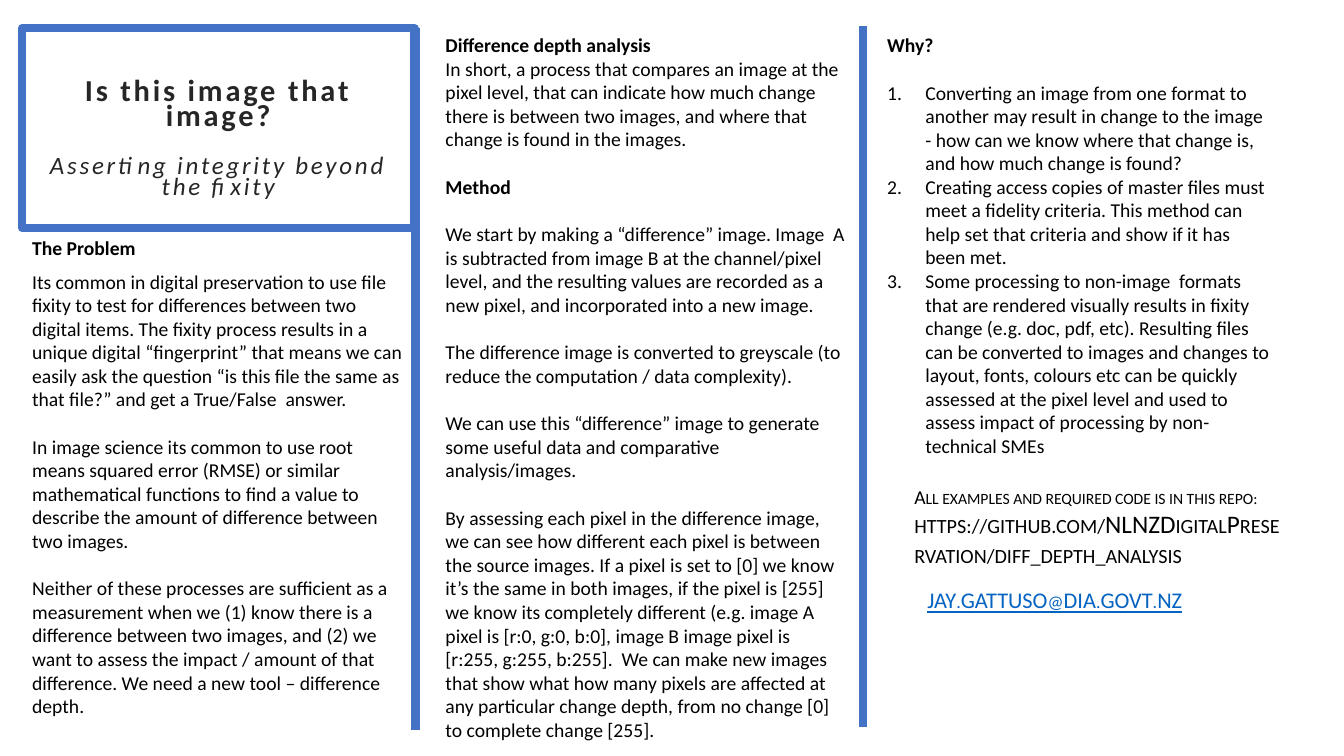
import pptx
import pptx.util
import pptx.dml.color
import pptx.enum.shapes
import pptx.enum.text
import lxml.etree
from pptx.util import Inches, Pt

THEME = {
    "font": "Calibri", "text": "000000", "title": "262626", "accent": "4472C4",
    "link": "0563C1", "paper": "FFFFFF", "body_size": 14, "title_size": 21.7,
    "subtitle_size": 17.8, "repo_size": 18, "mail_size": 16,
    "rule_width": 6, "blank_line": 17.1, "small_gap": 7.3, "title_gap": 18.5,
}
BLANK, SMALL = THEME["blank_line"], THEME["small_gap"]

TITLE = "Is this image that image?"
SUBTITLE = "Asserting integrity beyond the fixity"

COLUMNS = [
    ((0.22, 2.29, 3.89, 4.91), [
        ("heading", 0, "The Problem"),
        ("body", SMALL, "Its common in digital preservation to use file fixity to test for differences between two digital items. The fixity process results in a unique digital “fingerprint” that means we can easily ask the question “is this file the same as that file?” and get a True/False  answer."),
        ("body", BLANK, "In image science its common to use root means squared error (RMSE) or similar mathematical functions to find a value to describe the amount of difference between two images."),
        ("body", BLANK, "Neither of these processes are sufficient as a measurement when we (1) know there is a difference between two images, and (2) we want to assess the impact / amount of that difference. We need a new tool – difference depth."),
    ]),
    ((4.32, 0.28, 4.18, 7.4), [
        ("heading", 0, "Difference depth analysis"),
        ("body", 0, "In short, a process that compares an image at the pixel level, that can indicate how much change there is between two images, and where that change is found in the images."),
        ("heading", BLANK, "Method"),
        ("body", BLANK, "We start by making a “difference” image. Image  A is subtracted from image B at the channel/pixel level, and the resulting values are recorded as a new pixel, and incorporated into a new image."),
        ("body", BLANK, "The difference image is converted to greyscale (to reduce the computation / data complexity)."),
        ("body", BLANK, "We can use this “difference” image to generate some useful data and comparative analysis/images."),
        ("body", BLANK, "By assessing each pixel in the difference image, we can see how different each pixel is between the source images. If a pixel is set to [0] we know it’s the same in both images, if the pixel is [255] we know its completely different (e.g. image A pixel is [r:0, g:0, b:0], image B image pixel is [r:255, g:255, b:255].  We can make new images that show what how many pixels are affected at any particular change depth, from no change [0] to complete change [255]."),
    ]),
    ((8.7, 0.28, 4.01, 4.58), [
        ("heading", 0, "Why?"),
        ("number", BLANK, "Converting an image from one format to another may result in change to the image - how can we know where that change is, and how much change is found?"),
        ("number", 0, "Creating access copies of master files must meet a fidelity criteria. This method can help set that criteria and show if it has been met."),
        ("number", 0, "Some processing to non-image  formats that are rendered visually results in fixity change (e.g. doc, pdf, etc). Resulting files can be converted to images and changes to layout, fonts, colours etc can be quickly assessed at the pixel level and used to assess impact of processing by non-technical SMEs"),
    ]),
]

REPO_BOX = (8.97, 4.76, 3.87, 0.94)
REPO_RUNS = [
    ("All examples and required code is in this repo: ", THEME["body_size"]),
    ("https://github.com/NLNZDigitalPreservation/diff_depth_analysis", THEME["repo_size"]),
]
MAIL_BOX = (9.1, 5.77, 3.53, 0.37)
MAIL = "JAY.GATTUSO@DIA.GOVT.NZ"
TITLE_BOX = (0.22, 0.28, 3.89, 1.98)
RULES = [(8.56, 0.26, 7.21), (4.12, 0.28, 7.24)]


def color(name):
    return pptx.dml.color.RGBColor.from_string(THEME[name])


def style(span, size, ink="text", bold=False, italic=False):
    span.font.name = THEME["font"]
    span.font.size = Pt(size)
    span.font.color.rgb = color(ink)
    span.font.bold = bold
    span.font.italic = italic


def set_run_attribute(span, name, value):
    span._r.get_or_add_rPr().set(name, value)


def add_text_frame(page, place):
    frame = page.shapes.add_textbox(*map(Inches, place)).text_frame
    frame.word_wrap = True
    return frame


def next_paragraph(frame, index):
    return frame.paragraphs[0] if index == 0 else frame.add_paragraph()


def add_number(para):
    properties = para._p.get_or_add_pPr()
    properties.set("marL", str(Inches(0.38)))
    properties.set("indent", str(-Inches(0.38)))
    namespace = pptx.oxml.ns.qn("a:buAutoNum")
    lxml.etree.SubElement(properties, namespace, type="arabicPeriod")


def add_column(page, place, paragraphs):
    frame = add_text_frame(page, place)
    for index, (kind, gap, text) in enumerate(paragraphs):
        para = next_paragraph(frame, index)
        para.text = text
        if gap:
            para.space_before = Pt(gap)
        if kind == "number":
            add_number(para)
        style(para.runs[0], THEME["body_size"], bold=kind == "heading")


def add_title(page):
    box = page.shapes.add_shape(
        pptx.enum.shapes.MSO_SHAPE.RECTANGLE, *map(Inches, TITLE_BOX))
    box.shadow.inherit = False
    box.fill.solid()
    box.fill.fore_color.rgb = color("paper")
    box.line.color.rgb = color("accent")
    box.line.width = Pt(THEME["rule_width"])
    frame = box.text_frame
    frame.word_wrap = True
    frame.vertical_anchor = pptx.enum.text.MSO_ANCHOR.MIDDLE
    frame.margin_left = frame.margin_right = frame.margin_bottom = Inches(0.2)
    frame.margin_top = Inches(0.44)
    for index, text in enumerate([TITLE, SUBTITLE]):
        para = next_paragraph(frame, index)
        para.text = text
        para.alignment = pptx.enum.text.PP_ALIGN.CENTER
        para.line_spacing = 0.7
        if index:
            para.space_before = Pt(THEME["title_gap"])
        size = THEME["subtitle_size" if index else "title_size"]
        style(para.runs[0], size, "title", bold=index == 0, italic=index == 1)
        set_run_attribute(para.runs[0], "spc", "200")


def add_contacts(page):
    repo = add_text_frame(page, REPO_BOX).paragraphs[0]
    for text, size in REPO_RUNS:
        span = repo.add_run()
        span.text = text
        style(span, size)
        set_run_attribute(span, "cap", "small")
    mail = add_text_frame(page, MAIL_BOX).paragraphs[0]
    mail.text = MAIL
    style(mail.runs[0], THEME["mail_size"], "link")
    mail.runs[0].font.underline = True
    set_run_attribute(mail.runs[0], "cap", "small")


def add_rule(page, x, top, bottom):
    rule = page.shapes.add_connector(
        pptx.enum.shapes.MSO_CONNECTOR.STRAIGHT,
        Inches(x), Inches(top), Inches(x), Inches(bottom))
    rule.line.color.rgb = color("accent")
    rule.line.width = Pt(THEME["rule_width"])
    lxml.etree.SubElement(rule._element.spPr, pptx.oxml.ns.qn("a:effectLst"))


def main():
    deck = pptx.Presentation()
    deck.slide_width, deck.slide_height = Inches(13.33), Inches(7.5)
    page = deck.slides.add_slide(deck.slide_layouts[6])
    add_title(page)
    for place, paragraphs in COLUMNS:
        add_column(page, place, paragraphs)
    add_contacts(page)
    for rule in RULES:
        add_rule(page, *rule)
    deck.save("out.pptx")


if __name__ == "__main__":
    main()
